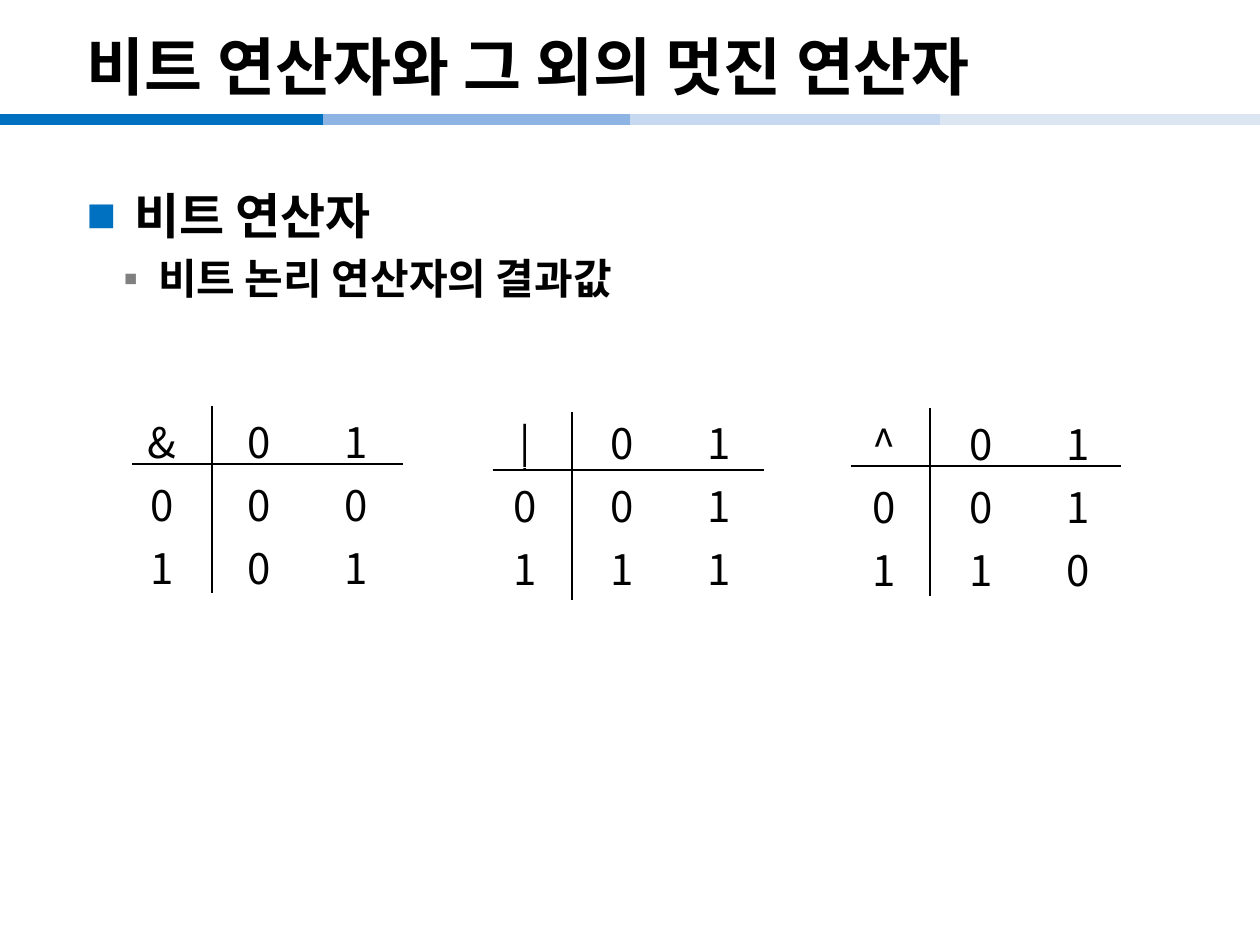
from dataclasses import dataclass
from itertools import pairwise

from lxml.etree import SubElement as Sub
from pptx import Presentation
from pptx.dml.color import RGBColor as RGB
from pptx.enum.shapes import MSO_CONNECTOR as Conn
from pptx.enum.text import MSO_ANCHOR as Anchor, PP_ALIGN as Align
from pptx.oxml.ns import qn
from pptx.util import Inches as In, Pt


@dataclass(frozen=True)
class Theme:
    face: str = "Noto Sans CJK KR"
    latin: str = "Arial"
    ink: str = "000000"
    blue: str = "0070C0"
    gray: str = "808080"
    bars: tuple = ("0070C0", "8EB4E3", "C6D9F1", "DCE6F2")
    title: int = 36
    head: int = 28
    text: int = 24
    rule: int = 1
    band: int = 6


T = Theme()
WIDE, HIGH = 10, 7.5
COL, ROW = 0.77, 0.5


def style(para, size, bold=False, face=T.face):
    """Set one font for a whole paragraph, Korean letters included."""
    font = para.font
    font.size, font.bold, font.name = Pt(size), bold, face
    font.color.rgb = RGB.from_string(T.ink)
    Sub(font._element, qn("a:ea"), typeface=T.face)


def bullet(para, mark, color, left, hang):
    props = para._p.get_or_add_pPr()
    props.set("marL", str(In(left)))
    props.set("indent", str(-In(hang)))
    # Bullet parts stand after spacing and before the default font
    tint = Sub(props, qn("a:buClr"))
    Sub(tint, qn("a:srgbClr"), val=color)
    Sub(props, qn("a:buFont"), typeface=T.latin)
    Sub(props, qn("a:buChar"), char=mark)


def line(slide, start, end, color=T.ink, width=T.rule):
    ends = [In(n) for n in (*start, *end)]
    conn = slide.shapes.add_connector(Conn.STRAIGHT, *ends)
    conn.line.color.rgb = RGB.from_string(color)
    conn.line.width = Pt(width)
    Sub(conn._element.spPr, qn("a:effectLst"))


def band(slide):
    edges = (0, 2.56, 5, 7.46, WIDE)
    for (left, right), color in zip(pairwise(edges), T.bars):
        line(slide, (left, 0.95), (right, 0.95), color, T.band)


def title(slide, text):
    box = slide.shapes.title
    box.left, box.top, box.width, box.height = map(In, (0.59, 0.22, 8.27, 0.6))
    frame = box.text_frame
    frame.text = text
    frame.vertical_anchor = Anchor.MIDDLE
    para = frame.paragraphs[0]
    para.alignment = Align.LEFT
    style(para, T.title, True)


def body(slide, head, point):
    box = slide.shapes.add_textbox(*map(In, (0.59, 1.19, 9.13, 5.98)))
    frame = box.text_frame
    frame.word_wrap = True
    top, sub = frame.paragraphs[0], frame.add_paragraph()
    top.text, sub.text = head, point
    top.line_spacing = 1.5
    sub.level = 1
    sub.space_before, sub.space_after = Pt(0.2 * T.text), Pt(4)
    bullet(top, "■", T.blue, 0.38, 0.38)
    bullet(sub, "▪", T.gray, 0.49, 0.2)
    style(top, T.head, True, T.latin)
    style(sub, T.text, True)


def truth(slide, sign, rule, left, top, first=ROW):
    """Draw the results of a bit operator as a 3 by 3 table."""
    bits = (0, 1)
    rows = [[sign, *bits]] + [[a, *(rule(a, b) for b in bits)] for a in bits]
    size = map(In, (left, top, 3 * COL, first + 2 * ROW))
    grid = slide.shapes.add_table(3, 3, *size).table
    grid.first_row = grid.horz_banding = False
    for col in grid.columns:
        col.width = In(COL)
    for row, high, vals in zip(grid.rows, (first, ROW, ROW), rows):
        row.height = In(high)
        for cell, val in zip(row.cells, vals):
            cell.text = str(val)
            cell.fill.background()
            para = cell.text_frame.paragraphs[0]
            para.alignment = Align.CENTER
            style(para, T.text)


def cross(slide, x, y):
    """Rule off the header row and column, meeting at x, y."""
    line(slide, (x - 0.63, y), (x + 1.52, y))
    line(slide, (x, y - 0.46), (x, y + 1.03))


def main():
    deck = Presentation()
    deck.slide_width, deck.slide_height = In(WIDE), In(HIGH)
    slide = deck.slides.add_slide(deck.slide_layouts[5])

    # Heading and text
    band(slide)
    title(slide, "비트 연산자와 그 외의 멋진 연산자")
    body(slide, "비트 연산자", " 비트 논리 연산자의 결과값")

    # Truth tables
    truth(slide, "&", lambda a, b: a & b, 0.9, 3.2)
    truth(slide, "|", lambda a, b: a | b, 3.78, 3.21, 0.41)
    truth(slide, "^", lambda a, b: a ^ b, 6.63, 3.22)
    for spot in ((1.68, 3.68), (4.54, 3.73), (7.38, 3.7)):
        cross(slide, *spot)

    deck.save("out.pptx")


if __name__ == "__main__":
    main()
